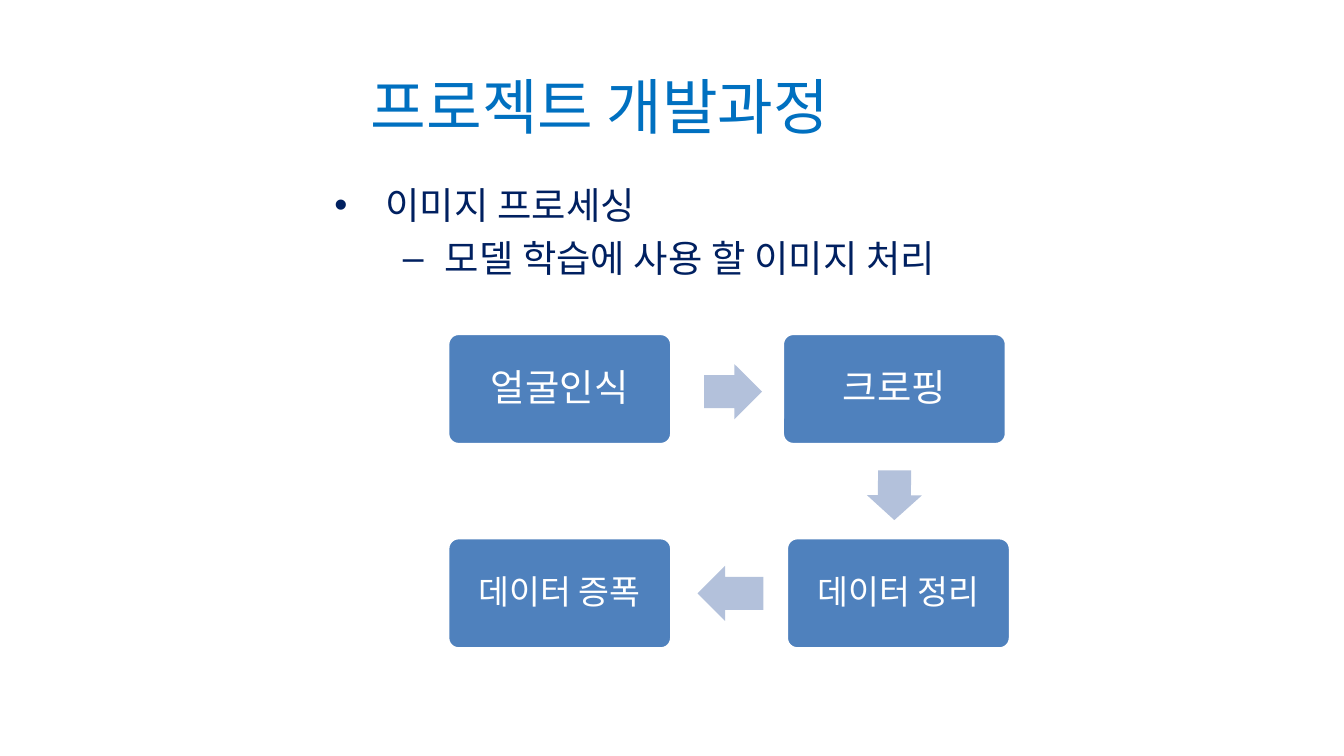
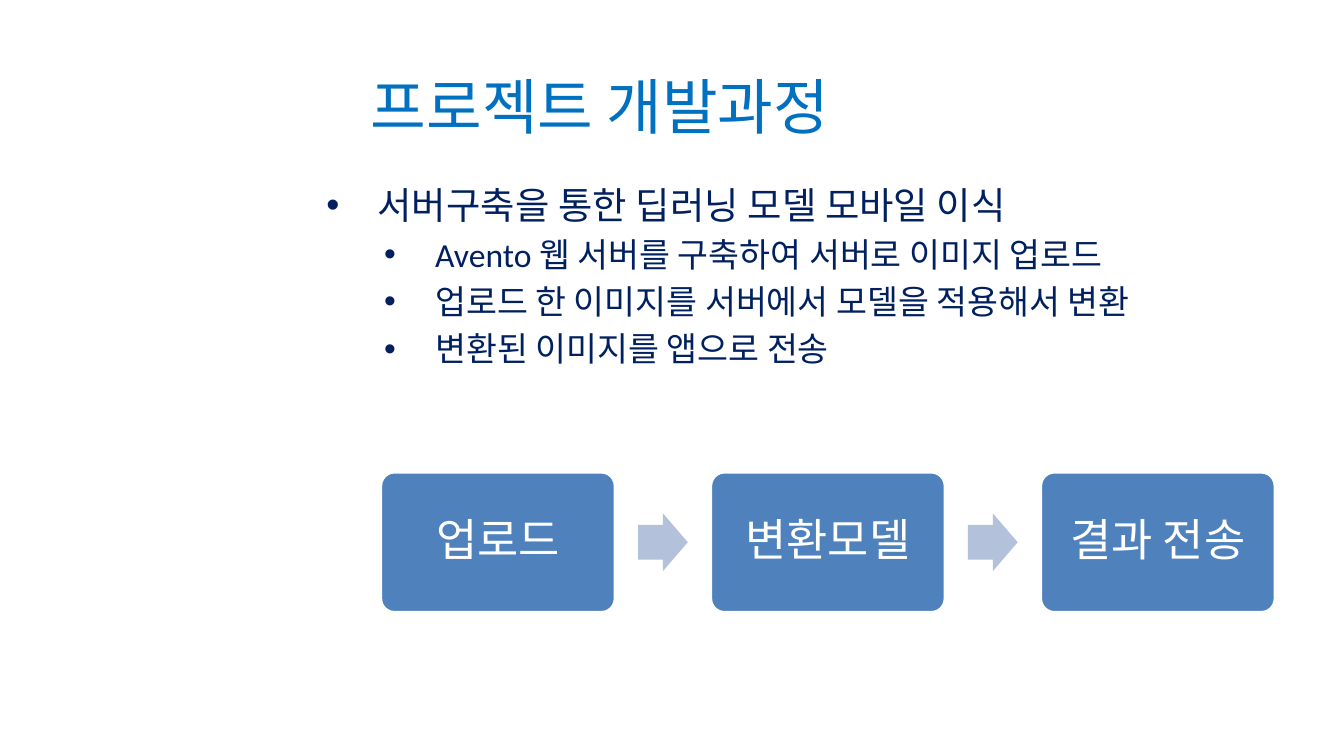
"""Build two slides on the project development process."""
from dataclasses import dataclass

from lxml import etree
from pptx import Presentation
from pptx.dml.color import RGBColor
from pptx.enum.shapes import MSO_SHAPE
from pptx.enum.text import MSO_ANCHOR, MSO_AUTO_SIZE, PP_ALIGN
from pptx.oxml.ns import qn
from pptx.util import Inches, Pt

BOX, ARROW = MSO_SHAPE.ROUNDED_RECTANGLE, MSO_SHAPE.RIGHT_ARROW
LEFT, CENTER = PP_ALIGN.LEFT, PP_ALIGN.CENTER
TOP, MIDDLE = MSO_ANCHOR.TOP, MSO_ANCHOR.MIDDLE
NO_AUTOFIT = MSO_AUTO_SIZE.NONE


@dataclass(frozen=True)
class Theme:
    """Colours, font and type sizes shared by the slides."""
    font: str = "Calibri"
    title: str = "0070C0"
    body: str = "002060"
    box: str = "4F81BD"
    arrow: str = "B3C1DB"
    white: str = "FFFFFF"
    title_size: float = 32.4
    large: int = 24
    medium: int = 20
    small: int = 18


THEME = Theme()
SLIDE_SIZE = (10, 10 * 9 / 16)
TITLE = "프로젝트 개발과정"
TITLE_AREA = (2.66, 0.47, 6.85, 0.63)

IMAGE_BODY_AREA = (2.33, 1.31, 7.68, 3.67)
IMAGE_POINTS = [
    ("이미지 프로세싱", 0, "•", 0.44, 0.38, THEME.medium),
    ("모델 학습에 사용 할 이미지 처리", 1, "–", 0.88, 0.31, THEME.medium),
]
IMAGE_BOX_SIZE = (1.67, 0.83)
IMAGE_STEPS = [
    ("얼굴인식", 3.33, 2.48, THEME.medium),
    ("크로핑", 5.82, 2.48, THEME.medium),
    ("데이터 정리", 5.85, 4.0, THEME.small),
    ("데이터 증폭", 3.33, 4.0, THEME.small),
]
IMAGE_ARROWS = [
    ((5.24, 2.71, 0.43, 0.41), 0),
    ((6.47, 3.48, 0.37, 0.41), 90.2),
    ((5.19, 4.21, 0.49, 0.41), 180),
]

SERVER_BODY_AREA = (2.33, 1.31, 7.18, 3.67)
SERVER_POINTS = [("서버구축을 통한 딥러닝 모델 모바일 이식", 1, "•", 0.38, 0.38, THEME.medium)] + [
    (text, 2, "•", 0.81, 0.38, THEME.small)
    for text in (
        "Avento 웹 서버를 구축하여 서버로 이미지 업로드",
        "업로드 한 이미지를 서버에서 모델을 적용해서 변환",
        "변환된 이미지를 앱으로 전송",
    )
]
SERVER_STEPS = ["업로드", "변환모델", "결과 전송"]
SERVER_BOX_SIZE = (1.75, 1.05)
SERVER_ARROW_SIZE = (0.37, 0.43)
SERVER_LEFT, SERVER_RIGHT, SERVER_TOP = 2.83, 9.49, 3.51


def inches(values):
    """Convert numbers to lengths."""
    return [Inches(value) for value in values]


def write(paragraph, text, *, size, color, align=LEFT, before=0, after=0, line=1.0):
    """Put formatted text into a paragraph, spacing it relative to its size."""
    run = paragraph.add_run()
    run.text = text
    run.font.name = THEME.font
    run.font.size = Pt(size)
    run.font.color.rgb = RGBColor.from_string(color)
    etree.SubElement(run._r.get_or_add_rPr(), qn("a:ea")).set("typeface", THEME.font)
    paragraph.alignment = align
    paragraph.space_before = Pt(size * before)
    paragraph.space_after = Pt(size * after)
    paragraph.line_spacing = line


def set_frame(frame, anchor, inset=None):
    """Wrap a text frame, anchor it and optionally set equal insets."""
    frame.word_wrap = True
    frame.auto_size = NO_AUTOFIT
    frame.vertical_anchor = anchor
    if inset is not None:
        frame.margin_left = frame.margin_right = Inches(inset)
        frame.margin_top = frame.margin_bottom = Inches(inset)


def add_bullet(paragraph, mark, indent, hanging):
    """Give a paragraph a bullet with a hanging indent."""
    properties = paragraph._p.get_or_add_pPr()
    properties.set("marL", str(Inches(indent)))
    properties.set("indent", str(-Inches(hanging)))
    etree.SubElement(properties, qn("a:buFont")).set("typeface", "Arial")
    etree.SubElement(properties, qn("a:buChar")).set("char", mark)


def add_slide(presentation, points, area):
    """Add a slide with the shared title and a bulleted body."""
    slide = presentation.slides.add_slide(presentation.slide_layouts[5])
    title = slide.shapes.title
    title.left, title.top, title.width, title.height = inches(TITLE_AREA)
    set_frame(title.text_frame, MIDDLE)
    write(title.text_frame.paragraphs[0], TITLE, size=THEME.title_size, color=THEME.title)

    frame = slide.shapes.add_textbox(*inches(area)).text_frame
    set_frame(frame, TOP)
    for index, (text, level, mark, indent, hanging, size) in enumerate(points):
        paragraph = frame.add_paragraph() if index else frame.paragraphs[0]
        paragraph.level = level
        write(paragraph, text, size=size, color=THEME.body, before=0.2)
        add_bullet(paragraph, mark, indent, hanging)
    return slide


def add_filled(slide, kind, area, color, adjustments):
    """Add a flat preset shape without an outline."""
    shape = slide.shapes.add_shape(kind, *inches(area))
    shape.shadow.inherit = False
    shape.fill.solid()
    shape.fill.fore_color.rgb = RGBColor.from_string(color)
    shape.line.fill.background()
    for index, value in enumerate(adjustments):
        shape.adjustments[index] = value
    return shape


def add_step(slide, text, area, size):
    """Add a rounded box naming one step."""
    shape = add_filled(slide, BOX, area, THEME.box, [0.1])
    shape.line.color.rgb = RGBColor.from_string(THEME.white)
    shape.line.width = Pt(2)
    set_frame(shape.text_frame, MIDDLE, inset=0.08)
    write(shape.text_frame.paragraphs[0], text, size=size, color=THEME.white,
          align=CENTER, after=0.35, line=0.9)


def add_arrow(slide, area, rotation=0):
    """Add a block arrow between two steps."""
    add_filled(slide, ARROW, area, THEME.arrow, [0.6, 0.5]).rotation = rotation


def build_image_slide(presentation):
    """Show image processing as a loop of four steps."""
    slide = add_slide(presentation, IMAGE_POINTS, IMAGE_BODY_AREA)
    for text, left, top, size in IMAGE_STEPS:
        add_step(slide, text, (left, top, *IMAGE_BOX_SIZE), size)
    for area, rotation in IMAGE_ARROWS:
        add_arrow(slide, area, rotation)


def build_server_slide(presentation):
    """Show the server flow as an evenly spaced row."""
    slide = add_slide(presentation, SERVER_POINTS, SERVER_BODY_AREA)
    width, height = SERVER_BOX_SIZE
    arrow_width, arrow_height = SERVER_ARROW_SIZE
    pitch = (SERVER_RIGHT - SERVER_LEFT - width) / (len(SERVER_STEPS) - 1)
    arrow_top = SERVER_TOP + (height - arrow_height) / 2
    for index, text in enumerate(SERVER_STEPS):
        left = SERVER_LEFT + index * pitch
        if index:
            arrow_left = left - (pitch - width + arrow_width) / 2
            add_arrow(slide, (arrow_left, arrow_top, arrow_width, arrow_height))
        add_step(slide, text, (left, SERVER_TOP, width, height), THEME.large)


def main():
    """Build and save the presentation."""
    presentation = Presentation()
    presentation.slide_width, presentation.slide_height = inches(SLIDE_SIZE)
    build_image_slide(presentation)
    build_server_slide(presentation)
    presentation.save("out.pptx")


if __name__ == "__main__":
    main()
